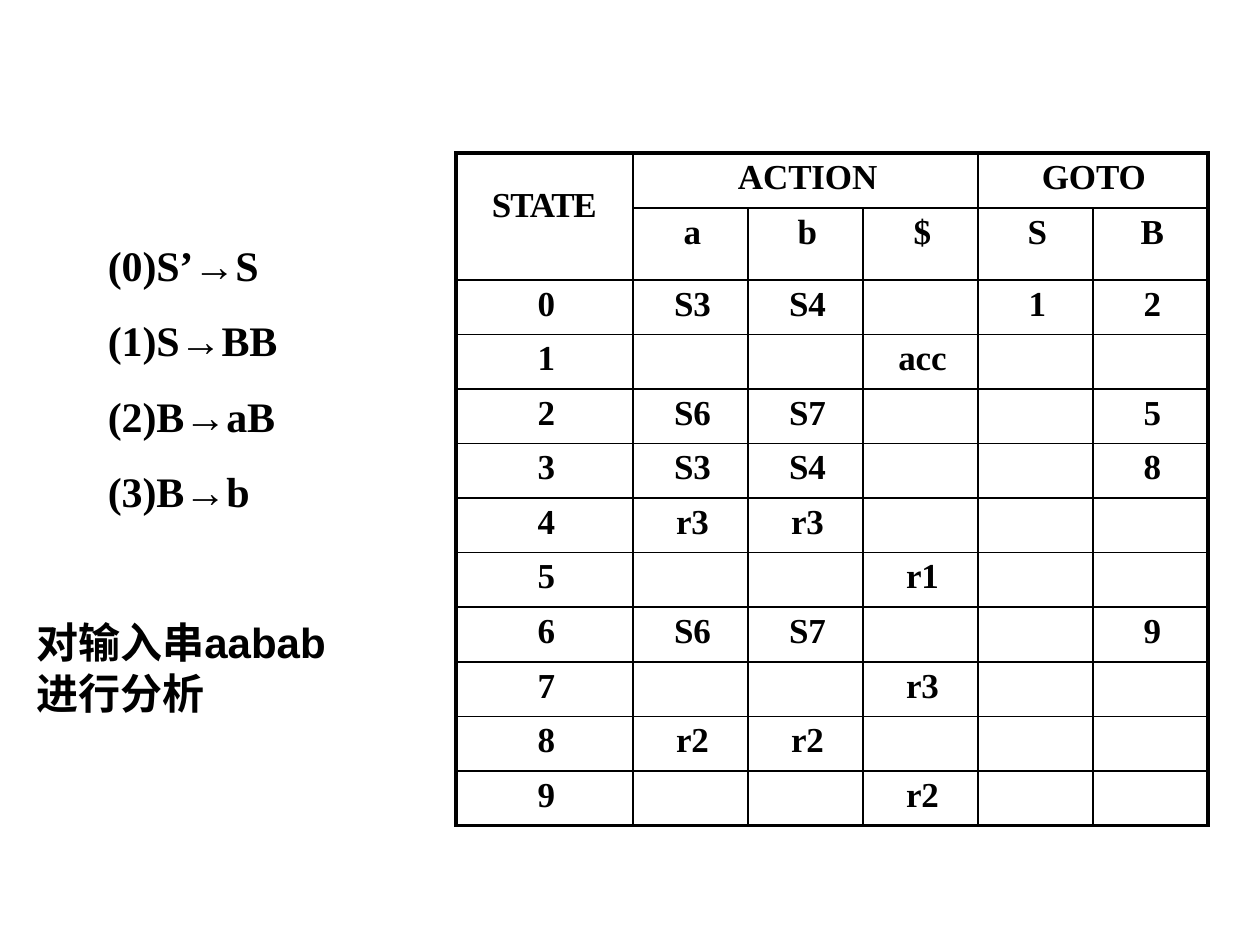
import pptx
import pptx.dml.color
import pptx.enum.text
import pptx.oxml.ns
import pptx.util
from lxml import etree

PX = 914400 // 126
SERIF = "Times New Roman"
SANS = "Arial"
CJK = "Noto Sans CJK SC"
BLACK = "000000"
CENTER = pptx.enum.text.PP_ALIGN.CENTER

STATE_ROWS = [
    ["0", "S3", "S4", "", "1", "2"],
    ["1", "", "", "acc", "", ""],
    ["2", "S6", "S7", "", "", "5"],
    ["3", "S3", "S4", "", "", "8"],
    ["4", "r3", "r3", "", "", ""],
    ["5", "", "", "r1", "", ""],
    ["6", "S6", "S7", "", "", "9"],
    ["7", "", "", "r3", "", ""],
    ["8", "r2", "r2", "", "", ""],
    ["9", "", "", "r2", "", ""],
]
HEADER_ROWS = [
    ["STATE", "ACTION", "", "", "GOTO", ""],
    ["", "a", "b", "$", "S", "B"],
]
SPANS = [(0, 0, 1, 0), (0, 1, 0, 3), (0, 4, 0, 5)]
HEADER_INDENTS = {"STATE": 36, "ACTION": 105, "GOTO": 64}
PRODUCTIONS = [("(0)S’", "S"), ("(1)S", "BB"), ("(2)B", "aB"), ("(3)B", "b")]


def px(length):
    return pptx.util.Emu(length * PX)


def color(value):
    return pptx.dml.color.RGBColor.from_string(value)


def apply(target, formats):
    for name, value in formats.items():
        setattr(target, name, value)


def add_child(parent, tag, **attributes):
    return etree.SubElement(parent, pptx.oxml.ns.qn(tag), attributes)


def add_run(paragraph, text, size, font, tracking=0):
    run = paragraph.add_run()
    run.text = text
    apply(run.font, {"size": pptx.util.Pt(size), "name": font, "bold": True})
    run.font.color.rgb = color(BLACK)
    properties = run.font._element
    properties.set("spc", str(tracking))
    add_child(properties, "a:ea", typeface=CJK)


def format_paragraph(paragraph, indent, **formats):
    paragraph._p.get_or_add_pPr().set("marL", str(px(indent)))
    apply(paragraph, formats)


def border_cell(cell, heavy_sides):
    properties = cell._tc.get_or_add_tcPr()
    for side in "LRTB":
        points = 2.25 if side in heavy_sides else 1
        line = add_child(properties, f"a:ln{side}", w=str(pptx.util.Pt(points)))
        fill = add_child(line, "a:solidFill")
        add_child(fill, "a:srgbClr", val=BLACK)
    cell.fill.background()


def fill_cell(cell, label):
    top = 33 if label == "STATE" else 5
    apply(cell, {"margin_left": 0, "margin_right": 0, "margin_top": px(top), "margin_bottom": 0})
    paragraph = cell.text_frame.paragraphs[0]
    if label in HEADER_INDENTS:
        format_paragraph(paragraph, HEADER_INDENTS[label])
    else:
        format_paragraph(paragraph, 4, alignment=CENTER)
    if label:
        tracking = -70 if label == "STATE" else -10 if len(label) > 1 else 0
        add_run(paragraph, label, 20, SERIF, tracking)


def add_parsing_table(slide):
    labels = HEADER_ROWS + STATE_ROWS
    row_count, column_count = len(labels), len(labels[0])
    frame = slide.shapes.add_table(row_count, column_count, px(456), px(153), px(752), px(672))
    table = frame.table
    apply(table, {"first_row": False, "horz_banding": False})
    for index, column in enumerate(table.columns):
        column.width = px(115 if index else 177)
    for index, row in enumerate(table.rows):
        row.height = {0: px(55), 1: px(71)}.get(index, px(546) // len(STATE_ROWS))
    for top, left, bottom, right in SPANS:
        table.cell(top, left).merge(table.cell(bottom, right))
    for row, row_labels in enumerate(labels):
        for column, label in enumerate(row_labels):
            cell = table.cell(row, column)
            if cell.is_spanned:
                continue
            outer = {
                "L": column == 0,
                "R": column + cell.span_width == column_count,
                "T": row == 0,
                "B": row + cell.span_height == row_count,
            }
            border_cell(cell, [side for side, heavy in outer.items() if heavy])
            fill_cell(cell, label)


def add_grammar(slide):
    frame = slide.shapes.add_textbox(px(36), px(213), px(293), px(513)).text_frame
    apply(frame, {"word_wrap": True, "margin_left": 0, "margin_right": 0,
                  "margin_top": px(26), "margin_bottom": 0})
    for index, (left_side, right_side) in enumerate(PRODUCTIONS):
        production = frame.add_paragraph() if index else frame.paragraphs[0]
        format_paragraph(production, 72, space_before=pptx.util.Pt(14.4 if index else 15.4))
        for text, font in [(left_side, SERIF), ("→", SANS), (right_side, SERIF)]:
            add_run(production, text, 24, font, -10)
    task = frame.add_paragraph()
    format_paragraph(task, 1, space_before=pptx.util.Pt(57), line_spacing=pptx.util.Pt(29))
    for text, font, tracking in [("对输入串", CJK, -10), ("aabab ", SANS, 0), ("进行分析", CJK, -10)]:
        add_run(task, text, 24, font, tracking)


def main():
    presentation = pptx.Presentation()
    apply(presentation, {"slide_width": px(1260), "slide_height": px(945)})
    slide = presentation.slides.add_slide(presentation.slide_layouts[6])
    add_parsing_table(slide)
    add_grammar(slide)
    presentation.save("out.pptx")


if __name__ == "__main__":
    main()
